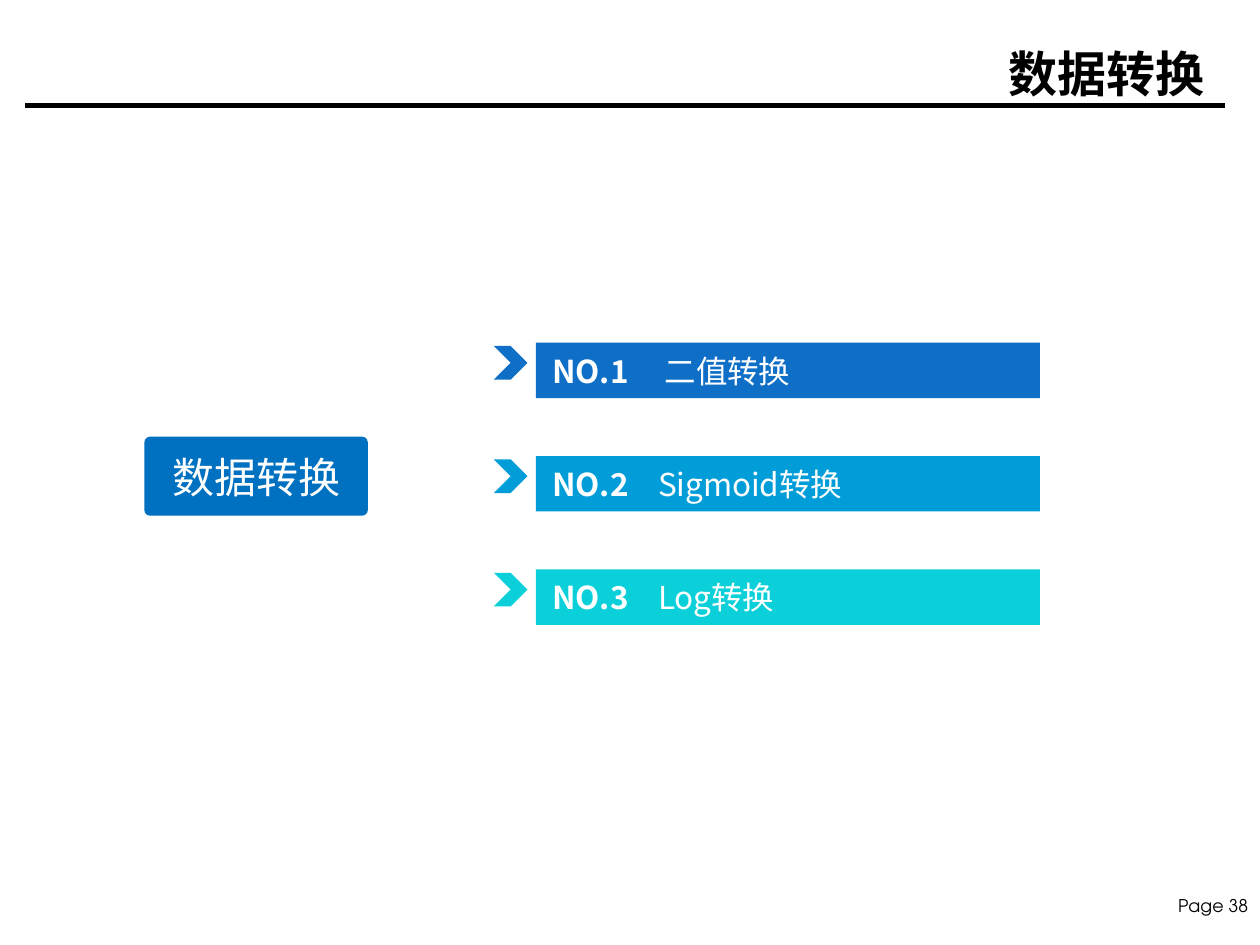
import pptx
import pptx.dml.color
import pptx.enum.shapes
import pptx.enum.text
import pptx.oxml.ns
import pptx.util
from lxml import etree

Inches = pptx.util.Inches
Shape = pptx.enum.shapes.MSO_SHAPE
Align = pptx.enum.text.PP_ALIGN
Anchor = pptx.enum.text.MSO_ANCHOR
qn = pptx.oxml.ns.qn

theme = {
    "cjk": "Noto Sans CJK SC", "latin": "TeX Gyre Adventor",
    "black": "000000", "white": "FFFFFF", "topic": "0070C0",
    "rows": ["0F6FC6", "009DD9", "0BD0D9"],
    "title": 21, "label": 18, "body": 13.5, "footer": 7.5,
}


def add_span(para, text, size, color, bold=False, font=theme["cjk"]):
    span = para.add_run()
    span.text = text
    span.font.size = pptx.util.Pt(size)
    span.font.bold = bold
    span.font.color.rgb = pptx.dml.color.RGBColor.from_string(color)
    span.font.name = font
    etree.SubElement(span.font._element, qn("a:ea"), typeface=font)


def add_block(page, kind, left, top, width, height, color):
    block = page.shapes.add_shape(
        kind, Inches(left), Inches(top), Inches(width), Inches(height))
    block.shadow.inherit = False
    block.fill.solid()
    block.fill.fore_color.rgb = pptx.dml.color.RGBColor.from_string(color)
    block.line.fill.background()
    return block


deck = pptx.Presentation()
deck.slide_width, deck.slide_height = Inches(7.5), Inches(7.5 * 3 / 4)
page = deck.slides.add_slide(deck.slide_layouts[6])

footer = page.shapes.add_textbox(Inches(6.86), Inches(5.29), Inches(0.64), Inches(0.2))
frame = footer.text_frame
frame.word_wrap = False
frame.margin_left = frame.margin_right = Inches(0.07)
frame.margin_top = frame.margin_bottom = Inches(0.04)
para = frame.paragraphs[0]
para.alignment = Align.RIGHT
add_span(para, "Page 38", theme["footer"], theme["black"], font=theme["latin"])

rule = page.shapes.add_connector(
    pptx.enum.shapes.MSO_CONNECTOR.STRAIGHT,
    Inches(0.15), Inches(0.63), Inches(7.29), Inches(0.63))
rule.line.color.rgb = pptx.dml.color.RGBColor.from_string(theme["black"])
rule.line.width = pptx.util.Pt(2)
etree.SubElement(rule._element.spPr, qn("a:effectLst"))

title = page.shapes.add_textbox(Inches(0.52), Inches(0.21), Inches(6.75), Inches(0.94))
title.text_frame.word_wrap = True
para = title.text_frame.paragraphs[0]
para.alignment = Align.RIGHT
add_span(para, "数据转换", theme["title"], theme["black"], bold=True)

methods = [("二值转换", 0.67), ("Sigmoid转换", 0.63), ("Log转换", 0.63)]
for index, ((method, tab), color) in enumerate(zip(methods, theme["rows"])):
    top = 2.04 + index * 1.35 / 2
    add_block(page, Shape.CHEVRON, 2.94, top + 0.02, 0.2, 0.2, color)
    bar = add_block(page, Shape.RECTANGLE, 3.19, top, 3, 0.33, color)
    bar.text_frame.vertical_anchor = Anchor.MIDDLE
    para = bar.text_frame.paragraphs[0]
    para.alignment = Align.LEFT
    tabs = etree.SubElement(para._p.get_or_add_pPr(), qn("a:tabLst"))
    etree.SubElement(tabs, qn("a:tab"), pos=str(Inches(tab)), algn="l")
    add_span(para, f"NO.{index + 1}\t", theme["body"], theme["white"], bold=True)
    add_span(para, method, theme["body"], theme["white"])

topic = add_block(page, Shape.ROUNDED_RECTANGLE, 0.86, 2.6, 1.33, 0.47, theme["topic"])
topic.adjustments[0] = 0.07
frame = topic.text_frame
frame.vertical_anchor = Anchor.MIDDLE
frame.margin_left = frame.margin_right = Inches(0.06)
frame.margin_top = frame.margin_bottom = Inches(0.03)
para = frame.paragraphs[0]
para.alignment = Align.CENTER
add_span(para, "数据转换", theme["label"], theme["white"])

deck.save("out.pptx")
